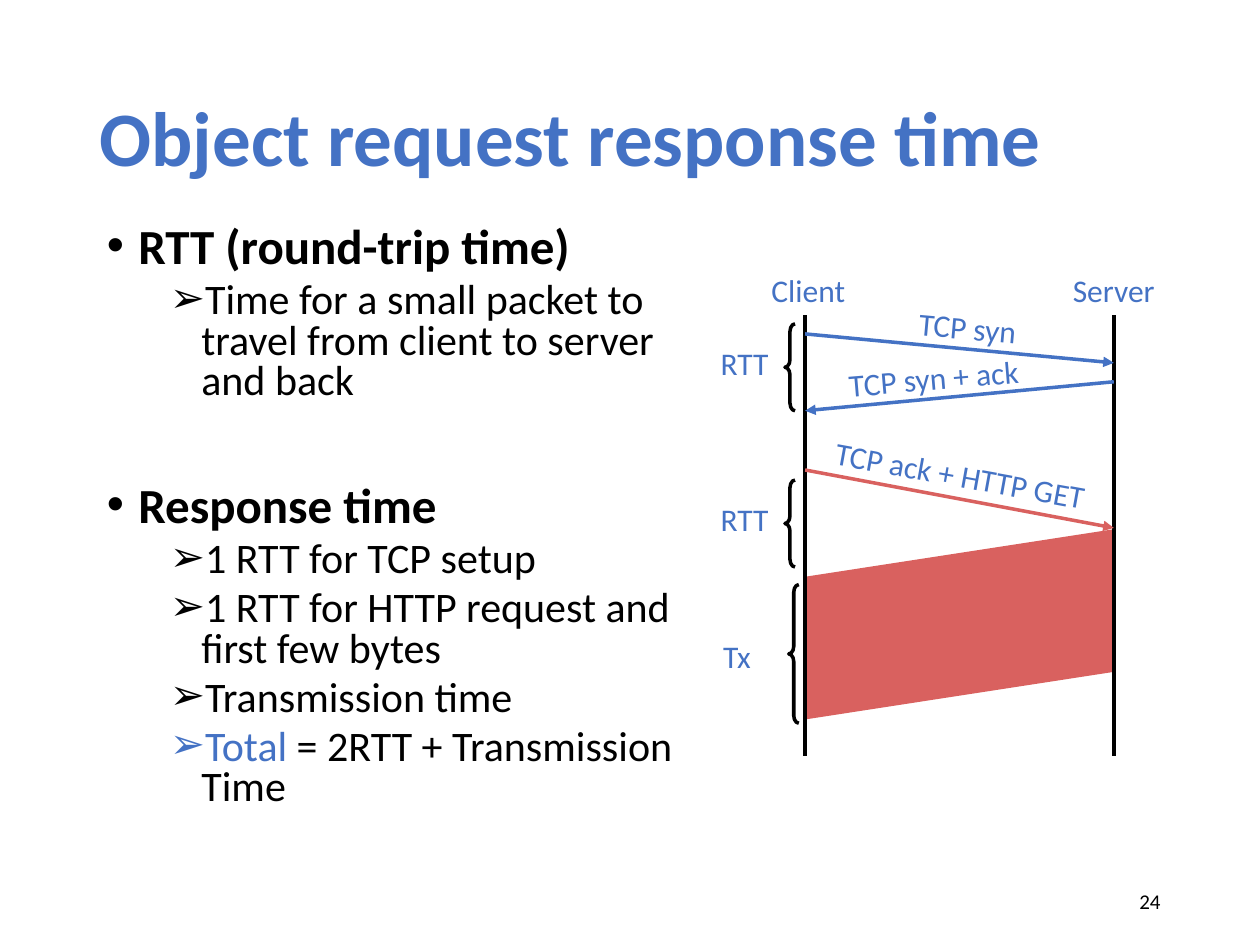
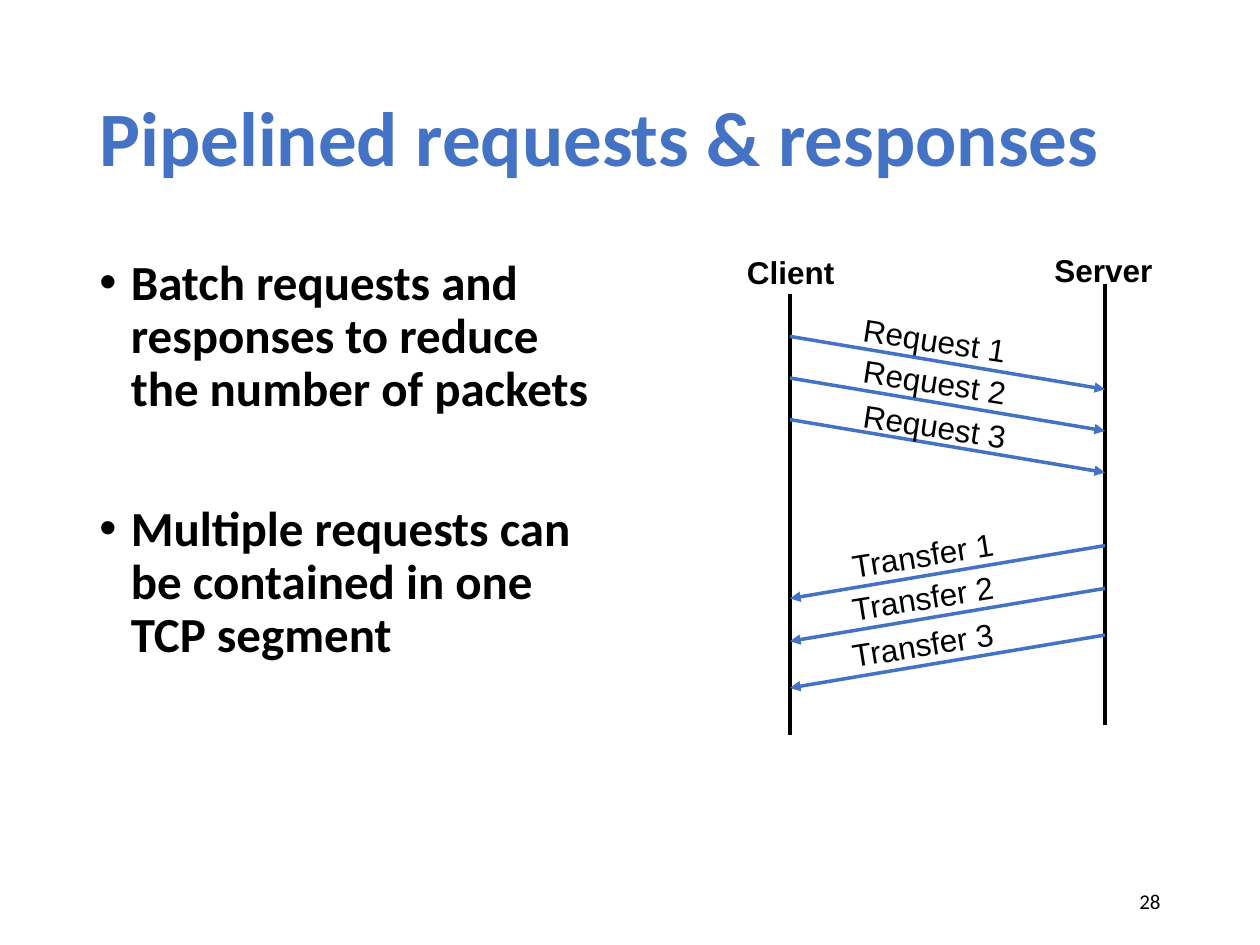
from lxml.etree import SubElement
from pptx import Presentation
from pptx.dml.color import RGBColor
from pptx.enum.shapes import MSO_CONNECTOR, MSO_SHAPE
from pptx.enum.text import MSO_ANCHOR, MSO_AUTO_SIZE, PP_ALIGN
from pptx.oxml.ns import qn
from pptx.util import Pt

PX = 9144
COLORS = {"blue": "4472C4", "red": "D9615F", "black": "000000"}
BULLETS = [("•", 25, 28, True), ("➢", 75, 24, False)]


def add_text(slide, text, left, top, width, height, size=18, font="Calibri", color="black",
             bold=False, align=PP_ALIGN.LEFT, anchor=MSO_ANCHOR.TOP, wrap=False,
             spacing=None, rotation=0):
    box = slide.shapes.add_textbox(left * PX, top * PX, width * PX, height * PX)
    box.rotation = rotation
    frame = box.text_frame
    frame.word_wrap = wrap
    frame.auto_size = MSO_AUTO_SIZE.NONE if wrap else MSO_AUTO_SIZE.SHAPE_TO_FIT_TEXT
    frame.vertical_anchor = anchor
    items = [(None, 0, [(text, color)])] if isinstance(text, str) else text
    for index, (level, before, runs) in enumerate(items):
        paragraph = frame.add_paragraph() if index else frame.paragraphs[0]
        paragraph.alignment = align
        paragraph.line_spacing = spacing
        paragraph.space_before = Pt(before)
        if level is not None:
            symbol, indent, size, bold = BULLETS[level]
            properties = paragraph._p.get_or_add_pPr()
            properties.set("marL", str(indent * PX))
            properties.set("indent", str(-25 * PX))
            SubElement(properties, qn("a:buFont")).set("typeface", "Arial")
            SubElement(properties, qn("a:buChar")).set("char", symbol)
        for run_text, run_color in runs:
            run = paragraph.add_run()
            run.text = run_text
            run.font.name = font
            run.font.size = Pt(size)
            run.font.bold = bold
            run.font.color.rgb = RGBColor.from_string(COLORS[run_color])


def add_line(slide, x1, y1, x2, y2, color="black", arrow=False):
    line = slide.shapes.add_connector(MSO_CONNECTOR.STRAIGHT, x1 * PX, y1 * PX, x2 * PX, y2 * PX)
    line.line.color.rgb = RGBColor.from_string(COLORS[color])
    line.line.width = Pt(2)
    if arrow:
        SubElement(line.line._get_or_add_ln(), qn("a:tailEnd")).set("type", "triangle")
    SubElement(line._element.spPr, qn("a:effectLst"))


presentation = Presentation()
presentation.slide_width = 1000 * PX
presentation.slide_height = 750 * PX

slides = []
for title, number in [("Object request response time", "24"),
                      ("Pipelined requests & responses", "28")]:
    slide = presentation.slides.add_slide(presentation.slide_layouts[6])
    add_text(slide, title, 69, 40, 862, 145, size=44, color="blue", bold=True,
             anchor=MSO_ANCHOR.MIDDLE, wrap=True, spacing=0.9)
    add_text(slide, number, 706, 695, 225, 40, size=12, align=PP_ALIGN.RIGHT,
             anchor=MSO_ANCHOR.MIDDLE, wrap=True)
    slides.append(slide)
response_slide, pipeline_slide = slides

add_text(response_slide, [
    (0, 0, [("RTT (round-trip time)", "black")]),
    (1, 5, [("Time for a small packet to travel from client to server and back", "black")]),
    (0, 47, [("Response time", "black")]),
    (1, 5, [("1 RTT for TCP setup", "black")]),
    (1, 5, [("1 RTT for HTTP request and first few bytes", "black")]),
    (1, 5, [("Transmission time", "black")]),
    (1, 5, [("Total ", "blue"), ("= 2RTT + Transmission Time", "black")]),
], 75, 175, 474, 483, wrap=True, spacing=0.8)

client, server = 639, 884
transfer = response_slide.shapes.add_shape(
    MSO_SHAPE.PARALLELOGRAM, 686 * PX, 373 * PX, 151 * PX, 245 * PX)
transfer.adjustments[0] = 0.25
transfer.rotation = 270
transfer._element.spPr.xfrm.set("flipH", "1")
transfer.shadow.inherit = False
transfer.fill.solid()
transfer.fill.fore_color.rgb = RGBColor.from_string(COLORS["red"])
transfer.line.fill.background()

for name, x, left, width in [("Client", client, 602, 79), ("Server", server, 841, 86)]:
    add_line(response_slide, x, 250, x, 600)
    add_text(response_slide, name, left, 210, width, 40, color="blue", align=PP_ALIGN.CENTER)

for x1, y1, x2, y2, color, message, left, top, width, rotation in [
    (client, 265, server, 288, "blue", "TCP syn", 719, 240, 98, 5.1),
    (server, 303, client, 326, "blue", "TCP syn + ack", 660, 280, 162, 355.2),
    (client, 373, server, 419, "red", "TCP ack + HTTP GET", 651, 357, 222, 10.4),
]:
    add_line(response_slide, x1, y1, x2, y2, color, arrow=True)
    add_text(response_slide, message, left, top, width, 40, color="blue",
             align=PP_ALIGN.CENTER, rotation=rotation)

for label, brace_left, brace_top, brace_height, left, top, width in [
    ("RTT", 623, 257, 69, 562, 268, 58),
    ("RTT", 623, 381, 69, 562, 392, 58),
    ("Tx", 626, 464, 110, 564, 501, 42),
]:
    brace = response_slide.shapes.add_shape(
        MSO_SHAPE.LEFT_BRACE, brace_left * PX, brace_top * PX, 8 * PX, brace_height * PX)
    brace.adjustments[0] = 0.75
    brace.adjustments[1] = 0.5
    brace.shadow.inherit = False
    brace.fill.background()
    brace.line.color.rgb = RGBColor.from_string(COLORS["black"])
    brace.line.width = Pt(2)
    add_text(response_slide, label, left, top, width, 40, color="blue")

add_text(pipeline_slide, [
    (0, 0, [("Batch requests and responses to reduce the number of packets", "black")]),
    (0, 50, [("Multiple requests can be contained in one TCP segment", "black")]),
], 69, 200, 425, 476, wrap=True, spacing=0.9)

client, server = 627, 877
for name, x, line_top, left, top, width in [("Client", client, 233, 583, 196, 92),
                                          ("Server", server, 225, 827, 194, 100)]:
    add_line(pipeline_slide, x, line_top, x, line_top + 350)
    add_text(pipeline_slide, name, left, top, width, 41, font="Arial", bold=True)

for word, start, end, left, width, rotation, tops in [
    ("Request", client, server, 675, 137, 8.7, [(267, 250), (300, 283), (333, 318)]),
    ("Transfer", server, client, 666, 136, 350.9, [(433, 420), (467, 454), (504, 491)]),
]:
    for number, (arrow_top, label_top) in enumerate(tops, 1):
        add_line(pipeline_slide, start, arrow_top, end, arrow_top + 42, "blue", arrow=True)
        add_text(pipeline_slide, f"{word} {number}", left, label_top, width, 41,
                 font="Arial", rotation=rotation)

presentation.save("out.pptx")
